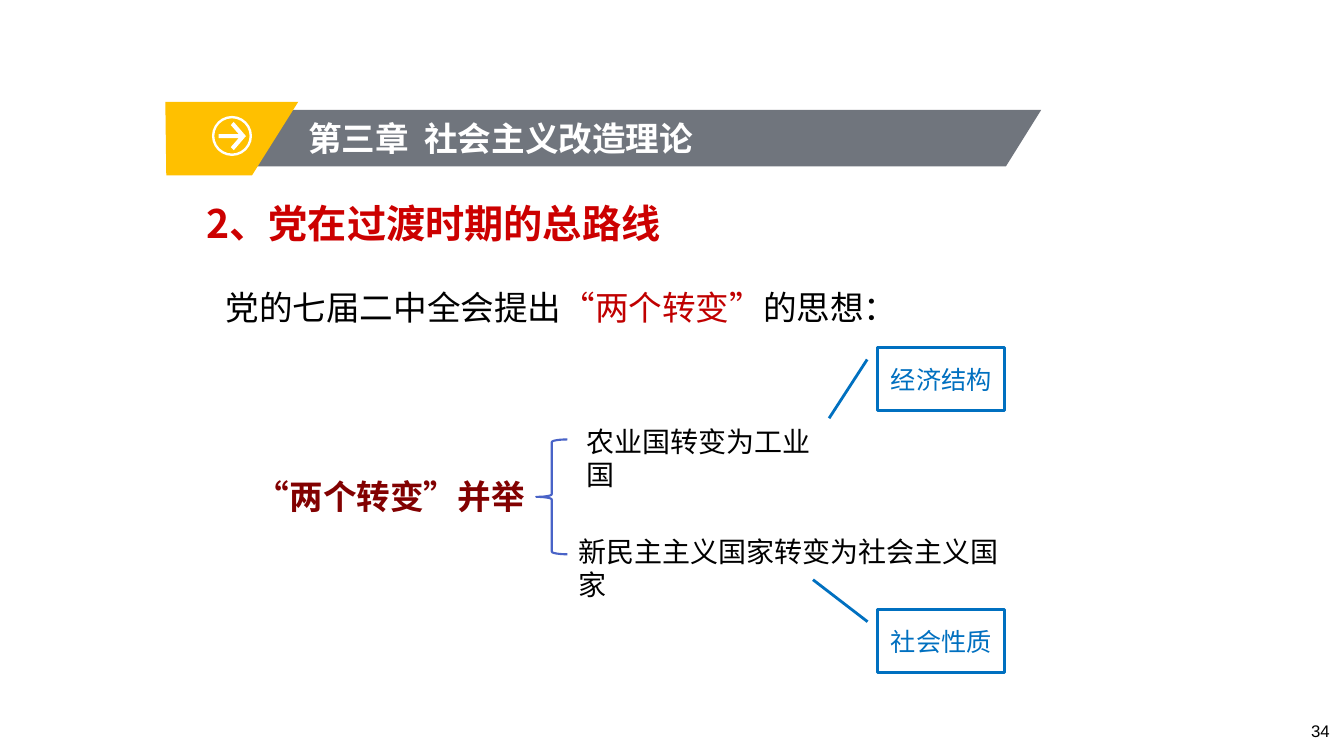
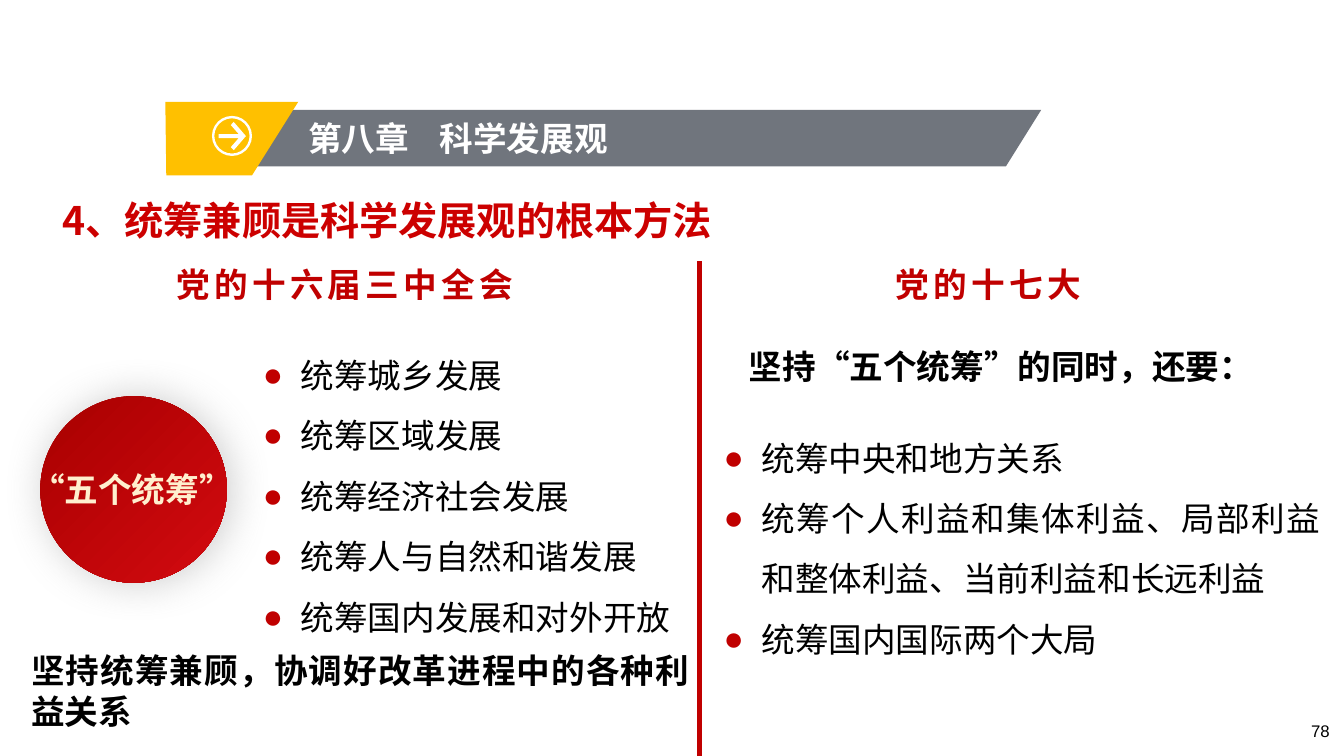
from dataclasses import dataclass, field
from typing import Any, Optional

import lxml.etree
import pptx
import pptx.dml.color
import pptx.enum.shapes
import pptx.enum.text
import pptx.oxml.ns
import pptx.util

Pt = pptx.util.Pt
RGBColor = pptx.dml.color.RGBColor
Shape = pptx.enum.shapes.MSO_SHAPE
Align = pptx.enum.text.PP_ALIGN
Anchor = pptx.enum.text.MSO_ANCHOR
qn = pptx.oxml.ns.qn

WHITE = RGBColor(0xFF, 0xFF, 0xFF)
BLACK = RGBColor(0x00, 0x00, 0x00)
GRAY = RGBColor(0x70, 0x75, 0x7D)
AMBER = RGBColor(0xFF, 0xC0, 0x00)
TITLE_RED = RGBColor(0xCC, 0x00, 0x00)
RED = RGBColor(0xC0, 0x00, 0x00)
DARK_RED = RGBColor(0x82, 0x01, 0x01)
CIRCLE_DARK = RGBColor(0xA8, 0x00, 0x00)
CIRCLE_LIGHT = RGBColor(0xD3, 0x0A, 0x10)
CREAM = RGBColor(0xFF, 0xEF, 0xCE)
BLUE = RGBColor(0x00, 0x70, 0xC0)
BRACE_BLUE = RGBColor(0x49, 0x63, 0xC7)

CJK_FONT = "Noto Sans CJK SC"
LATIN_FONT = "Arial"
SLIDE_WIDTH, SLIDE_HEIGHT = 960, 540

BAND = [(123.8, 78.5), (743.8, 78.5), (718.6, 118.8), (123.8, 118.8)]
TAB = [(118.1, 72.7), (213.1, 72.7), (180, 125.3), (118.8, 125.3)]
ARROW = [(167, 107.3), (164.9, 105.1), (170.6, 98.6), (156.2, 98.6), (156.2, 95.8),
         (170.6, 95.8), (164.9, 89.3), (167, 87.1), (175.7, 97.2)]


@dataclass(frozen=True)
class Box:
    left: float
    top: float
    width: float
    height: float

    def lengths(self) -> list[int]:
        return [Pt(value) for value in (self.left, self.top, self.width, self.height)]


@dataclass(frozen=True)
class Frame:
    chapter: str
    chapter_tab: float
    title: str
    title_box: Box
    number: str


@dataclass(frozen=True)
class Label:
    box: Box
    text: Any
    style: dict[str, Any] = field(default_factory=dict)
    wrap: bool = True


@dataclass(frozen=True)
class Callout:
    text: str
    top: float
    adjustments: tuple[float, ...] = ()


def write_text(text_frame: Any, text: Any, *, size: float = 24, color: RGBColor = BLACK,
               bold: bool = False, font: str = CJK_FONT, align: Any = Align.LEFT,
               line_spacing: Optional[float] = None, bullet: Optional[RGBColor] = None,
               tab: Optional[float] = None, tracking: float = 0) -> None:
    paragraphs = text if isinstance(text, list) else [text]
    for index, content in enumerate(paragraphs):
        paragraph = text_frame.paragraphs[0] if index == 0 else text_frame.add_paragraph()
        properties = paragraph._p.get_or_add_pPr()
        if bullet is not None:
            properties.set("marL", str(Pt(27)))
            properties.set("indent", str(-Pt(27)))
            bullet_color = lxml.etree.SubElement(properties, qn("a:buClr"))
            lxml.etree.SubElement(bullet_color, qn("a:srgbClr"), val=str(bullet))
            lxml.etree.SubElement(properties, qn("a:buFont"), typeface=LATIN_FONT)
            lxml.etree.SubElement(properties, qn("a:buChar"), char="●")
        if tab is not None:
            tab_list = lxml.etree.SubElement(properties, qn("a:tabLst"))
            lxml.etree.SubElement(tab_list, qn("a:tab"), pos=str(Pt(tab)), algn="l")
        paragraph.alignment = align
        if line_spacing is not None:
            paragraph.line_spacing = line_spacing
        pieces = content if isinstance(content, tuple) else ((content, color),)
        for piece, piece_color in pieces:
            run = paragraph.add_run()
            run.text = piece
            run.font.size = Pt(size)
            run.font.bold = bold
            run.font.color.rgb = piece_color
            run.font.name = font
            run_properties = run._r.get_or_add_rPr()
            lxml.etree.SubElement(run_properties, qn("a:ea"), typeface=CJK_FONT)
            if tracking:
                run_properties.set("spc", str(round(tracking * 100)))


def add_label(slide: Any, label: Label) -> None:
    shape = slide.shapes.add_textbox(*label.box.lengths())
    shape.text_frame.word_wrap = label.wrap
    write_text(shape.text_frame, label.text, **label.style)


def add_preset(slide: Any, kind: Any, box: Box, *, fill: Optional[RGBColor] = None,
               line: Optional[RGBColor] = None, line_width: float = 1) -> Any:
    shape = slide.shapes.add_shape(kind, *box.lengths())
    paint(shape, fill, line, line_width)
    return shape


def paint(shape: Any, fill: Optional[RGBColor], line: Optional[RGBColor] = None,
          line_width: float = 1) -> None:
    shape.shadow.inherit = False
    if fill is None:
        shape.fill.background()
    else:
        shape.fill.solid()
        shape.fill.fore_color.rgb = fill
    if line is None:
        shape.line.fill.background()
    else:
        shape.line.color.rgb = line
        shape.line.width = Pt(line_width)


def add_polygon(slide: Any, points: list[tuple[float, float]], fill: RGBColor) -> None:
    corners = [(Pt(x), Pt(y)) for x, y in points]
    builder = slide.shapes.build_freeform(*corners[0])
    builder.add_line_segments(corners[1:], close=True)
    paint(builder.convert_to_shape(), fill)


def add_framed_slide(presentation: Any, frame: Frame) -> Any:
    slide = presentation.slides.add_slide(presentation.slide_layouts[5])
    title = slide.shapes.title
    title.left, title.top, title.width, title.height = frame.title_box.lengths()
    title.text_frame.word_wrap = True
    title.text_frame.vertical_anchor = Anchor.MIDDLE
    write_text(title.text_frame, frame.title, size=28, color=TITLE_RED, bold=True,
               line_spacing=1.5)
    add_polygon(slide, BAND, GRAY)
    add_polygon(slide, TAB, AMBER)
    add_label(slide, Label(Box(213, 80.6, 400, 36), frame.chapter,
                           {"color": WHITE, "bold": True, "tab": frame.chapter_tab}))
    ring = add_preset(slide, Shape.DONUT, Box(151.4, 82.8, 28.6, 28.6), fill=WHITE)
    ring.adjustments[0] = 0.06
    add_polygon(slide, ARROW, WHITE)
    add_label(slide, Label(Box(920, 511, 36.9, 28.8), frame.number,
                           {"size": 12, "font": LATIN_FONT, "align": Align.RIGHT}))
    return slide


def add_callout(slide: Any, callout: Callout) -> None:
    shape = add_preset(slide, Shape.LINE_CALLOUT_1, Box(627, callout.top, 90.7, 44.8),
                       fill=WHITE, line=BLUE, line_width=2)
    for index, value in enumerate(callout.adjustments):
        shape.adjustments[index] = value
    shape.text_frame.word_wrap = True
    shape.text_frame.vertical_anchor = Anchor.MIDDLE
    write_text(shape.text_frame, callout.text, size=18, color=BLUE, font=LATIN_FONT,
               align=Align.CENTER)


def add_glowing_circle(slide: Any, box: Box) -> None:
    circle = add_preset(slide, Shape.OVAL, box)
    circle.fill.gradient()
    circle.fill.gradient_angle = 315
    for stop, color in zip(circle.fill.gradient_stops, (CIRCLE_DARK, CIRCLE_LIGHT)):
        stop.color.rgb = color
    effects = circle._element.spPr.find(qn("a:effectLst"))
    shadow = lxml.etree.SubElement(effects, qn("a:outerShdw"), blurRad=str(Pt(30)),
                                   dist=str(Pt(3)), dir="0", algn="ctr", rotWithShape="0")
    shadow_color = lxml.etree.SubElement(shadow, qn("a:srgbClr"), val="808080")
    lxml.etree.SubElement(shadow_color, qn("a:alpha"), val="40000")


def add_divider(slide: Any, x: float, top: float, bottom: float) -> None:
    divider = slide.shapes.add_connector(pptx.enum.shapes.MSO_CONNECTOR.STRAIGHT,
                                         Pt(x), Pt(top), Pt(x), Pt(bottom))
    divider.line.color.rgb = RED
    divider.line.width = Pt(3)
    lxml.etree.SubElement(divider._element.spPr, qn("a:effectLst"))


def build_transition_slide(presentation: Any) -> None:
    slide = add_framed_slide(presentation, Frame(
        "第三章\t社会主义改造理论", 83, "2、党在过渡时期的总路线",
        Box(140.4, 132.5, 568.8, 36.7), "34"))
    intro = (("党的七届二中全会提出", BLACK), ("“两个转变”", RED), ("的思想：", BLACK))
    for label in (
        Label(Box(154, 201.6, 652, 36), intro),
        Label(Box(175.7, 336.2, 206.6, 36), "“两个转变”并举",
              {"color": DARK_RED, "bold": True}, wrap=False),
        Label(Box(411.8, 299.5, 187, 56), "农业国转变为工业国", {"size": 20}),
        Label(Box(406, 378, 324, 56), "新民主主义国家转变为社会主义国家", {"size": 20}),
    ):
        add_label(slide, label)
    add_preset(slide, Shape.LEFT_BRACE, Box(383, 313.9, 22.3, 82), line=BRACE_BLUE,
               line_width=1.5)
    for callout in (Callout("经济结构", 248.4),
                    Callout("社会性质", 435.6, (0.19, -0.08, -0.48, -0.51))):
        add_callout(slide, callout)


def build_coordination_slide(presentation: Any) -> None:
    slide = add_framed_slide(presentation, Frame(
        "第八章\t科学发展观", 94, "4、统筹兼顾是科学发展观的根本方法",
        Box(37.4, 130.3, 755.3, 36.7), "78"))
    add_divider(slide, 499.7, 186.5, SLIDE_HEIGHT)
    add_glowing_circle(slide, Box(28.8, 283, 133.2, 133.2))
    heading = {"color": RED, "bold": True, "align": Align.CENTER, "tracking": 3}
    bullets = {"align": Align.JUSTIFY, "line_spacing": 1.5, "bullet": RED}
    statement = {"bold": True, "align": Align.JUSTIFY}
    for label in (
        Label(Box(99.4, 185, 293.8, 36), "党的十六届三中全会", heading),
        Label(Box(594, 185, 223.9, 36), "党的十七大", heading),
        Label(Box(180.7, 235.4, 308.9, 220.3),
              ["统筹城乡发展", "统筹区域发展", "统筹经济社会发展", "统筹人与自然和谐发展",
               "统筹国内发展和对外开放"], bullets),
        Label(Box(509.8, 294.5, 440.6, 176.4),
              ["统筹中央和地方关系",
               "统筹个人利益和集体利益、局部利益和整体利益、当前利益和长远利益",
               "统筹国内国际两个大局"], bullets),
        Label(Box(527.8, 243.4, 430.6, 36), "坚持“五个统筹”的同时，还要：", statement),
        Label(Box(15.1, 460.8, 484.6, 65.5),
              "坚持统筹兼顾，协调好改革进程中的各种利益关系", statement),
        Label(Box(15.1, 331.2, 182.4, 36), "“五个统筹”",
              {"color": CREAM, "bold": True}),
    ):
        add_label(slide, label)


def main() -> None:
    presentation = pptx.Presentation()
    presentation.slide_width = Pt(SLIDE_WIDTH)
    presentation.slide_height = Pt(SLIDE_HEIGHT)
    build_transition_slide(presentation)
    build_coordination_slide(presentation)
    presentation.save("out.pptx")


if __name__ == "__main__":
    main()
